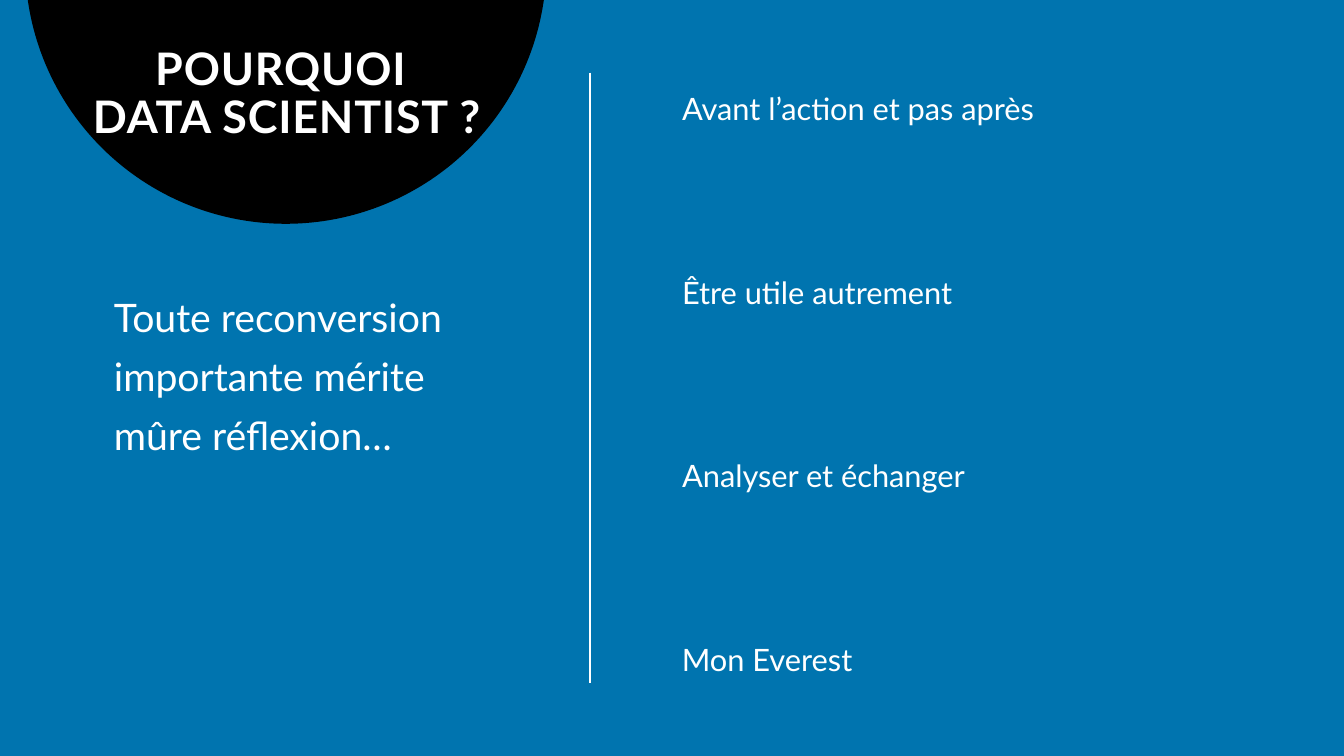
from copy import deepcopy

from lxml import etree
from pptx import Presentation
from pptx import util as u
from pptx.dml.color import RGBColor
from pptx.enum import shapes, text
from pptx.oxml import ns

BLUE = RGBColor(0x00, 0x74, 0xAF)
BLACK = RGBColor(0x00, 0x00, 0x00)
WHITE = RGBColor(0xFF, 0xFF, 0xFF)
FONT = "Lato"
WIDTH, HEIGHT = 13.33, 7.5
COMPARISON_LAYOUT = 4

TITLE = "POURQUOI \vDATA SCIENTIST ?"
INTRO = ["Toute reconversion", "importante mérite", "mûre réflexion…"]
REASONS = ["Avant l’action et pas après", "Être utile autrement",
           "Analyser et échanger", "Mon Everest"]


def place(shape, left, top, width, height):
    """Move a shape to a box given in inches."""
    shape.left, shape.top = u.Inches(left), u.Inches(top)
    shape.width, shape.height = u.Inches(width), u.Inches(height)


def write(shape, lines, size, gap=0, bold=False, align=text.PP_ALIGN.LEFT):
    """Fill a shape with unbulleted white paragraphs."""
    frame = shape.text_frame
    frame.text = "\n".join(lines)
    frame.word_wrap = True
    frame.auto_size = text.MSO_AUTO_SIZE.NONE
    frame.vertical_anchor = text.MSO_ANCHOR.TOP
    for number, para in enumerate(frame.paragraphs):
        properties = para._p.get_or_add_pPr()
        properties.set("marL", "0")
        properties.set("indent", "0")
        etree.SubElement(properties, ns.qn("a:buNone"))
        para.alignment = align
        para.line_spacing = 0.9
        para.space_before = u.Pt(gap if number else 0)
        for span in para.runs:
            span.font.name = FONT
            span.font.size = u.Pt(size)
            span.font.bold = bold
            span.font.color.rgb = WHITE


def add_heading(page, left, width, bottom):
    """Draw the disc that hangs from the top edge and set the title on it."""
    disc = page.shapes.add_shape(
        shapes.MSO_SHAPE.OVAL, u.Inches(left), u.Inches(bottom - width),
        u.Inches(width), u.Inches(width))
    disc.shadow.inherit = False
    disc.fill.solid()
    disc.fill.fore_color.rgb = BLACK
    disc.line.fill.background()
    title = page.shapes.title
    page.shapes._spTree.append(title._element)
    place(title, left + 0.36, 0, width - 0.7, 1.48)
    write(title, [TITLE], 32, bold=True, align=text.PP_ALIGN.CENTER)
    frame = title.text_frame
    frame.margin_left = frame.margin_right = u.Inches(0.16)
    frame.margin_top, frame.margin_bottom = u.Inches(0.46), u.Inches(0.05)
    para = frame.paragraphs[0]
    for span in para.runs:
        span._r.get_or_add_rPr().set("spc", "60")
    for line_break in para._p.findall(ns.qn("a:br")):
        line_break.append(deepcopy(para.runs[0]._r.rPr))


def add_intro(holder, left, top, width, height):
    """Set the opening sentence on the left."""
    place(holder, left, top, width, height)
    write(holder, INTRO, 28, gap=12)


def add_reasons(page, holders, left, top, width, height):
    """Spread the reasons evenly from the top to the bottom of the box."""
    row = 0.43
    step = (height - row) / (len(REASONS) - 1)
    boxes = holders + [page.shapes.add_textbox(0, 0, 0, 0)]
    for number, (box, reason) in enumerate(zip(boxes, REASONS)):
        place(box, left, top + number * step, width, row)
        write(box, [reason], 22)


def add_divider(page, left, top, bottom):
    """Draw the thin vertical rule between the two halves."""
    rule = page.shapes.add_connector(
        shapes.MSO_CONNECTOR.STRAIGHT, u.Inches(left), u.Inches(top),
        u.Inches(left), u.Inches(bottom))
    rule.line.color.rgb = WHITE
    rule.line.width = u.Pt(1)
    etree.SubElement(rule._element.spPr, ns.qn("a:effectLst"))


def main():
    """Build the slide and save the deck."""
    deck = Presentation()
    deck.slide_width, deck.slide_height = u.Inches(WIDTH), u.Inches(HEIGHT)
    page = deck.slides.add_slide(deck.slide_layouts[COMPARISON_LAYOUT])
    page.background.fill.solid()
    page.background.fill.fore_color.rgb = BLUE
    intro, *holders = [holder for holder in page.placeholders
                       if holder.placeholder_format.idx > 0]
    add_heading(page, 0.25, 5.17, 2.22)
    add_intro(intro, 1.03, 2.91, 4.74, 1.71)
    add_reasons(page, holders, WIDTH / 2, 0.88, 6.2, 5.9)
    add_divider(page, 5.85, 0.72, HEIGHT - 0.72)
    deck.save("out.pptx")


if __name__ == "__main__":
    main()
